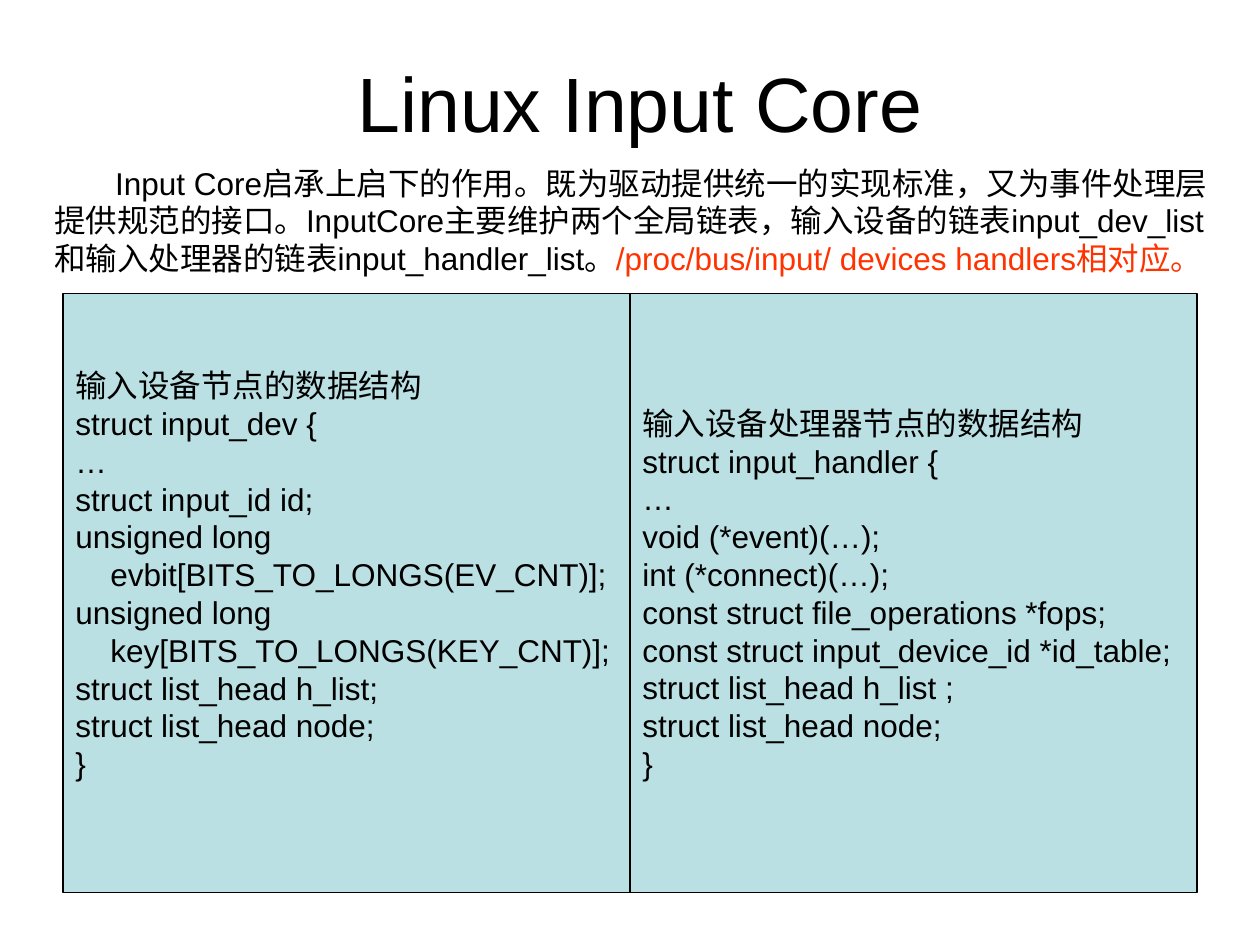
from pptx import Presentation
from pptx.dml.color import RGBColor
from pptx.enum import shapes, text
from pptx.util import Cm, Pt

BLACK, RED, PALE_BLUE = "000000", "FF3300", "BBE0E3"

INTRO = [
    ("Input Core启承上启下的作用。既为驱动提供统一的实现标准，又为事件处理层提供规范的接口。"
     "InputCore主要维护两个全局链表，输入设备的链表input_dev_list和输入处理器的链表"
     "input_handler_list。", BLACK),
    ("/proc/bus/input/ devices handlers相对应。", RED),
]

INPUT_DEV = """输入设备节点的数据结构
struct input_dev {
…
struct input_id id;
unsigned long
    evbit[BITS_TO_LONGS(EV_CNT)];
unsigned long
    key[BITS_TO_LONGS(KEY_CNT)];
struct list_head h_list;
struct list_head node;
}"""

INPUT_HANDLER = """输入设备处理器节点的数据结构
struct input_handler {
…
void (*event)(…);
int (*connect)(…);
const struct file_operations *fops;
const struct input_device_id *id_table;
struct list_head h_list ;
struct list_head node;
}"""


def rgb(value):
    return RGBColor.from_string(value)


def place(sp, left, top, width, height):
    sp.left, sp.top, sp.width, sp.height = Cm(left), Cm(top), Cm(width), Cm(height)


def add_run(p, content, size=18, color=BLACK):
    r = p.add_run()
    r.text = content
    r.font.size = Pt(size)
    r.font.name = "Arial"
    r.font.color.rgb = rgb(color)


def set_frame(tf, wrap=True):
    tf.word_wrap = wrap
    tf.auto_size = text.MSO_AUTO_SIZE.NONE
    tf.vertical_anchor = text.MSO_ANCHOR.MIDDLE


def add_title(slide, box):
    sp = slide.shapes.title
    place(sp, *box)
    set_frame(sp.text_frame)
    p = sp.text_frame.paragraphs[0]
    p.alignment = text.PP_ALIGN.CENTER
    add_run(p, "Linux Input Core", 44)


def add_intro(slide, box):
    sp = slide.shapes.add_textbox(*map(Cm, box))
    set_frame(sp.text_frame)
    p = sp.text_frame.paragraphs[0]
    # First-line indent
    p._p.get_or_add_pPr().set("indent", str(Cm(1.23)))
    for content, color in INTRO:
        add_run(p, content, color=color)


def add_struct(slide, box, code, bottom):
    sp = slide.shapes.add_shape(shapes.MSO_SHAPE.RECTANGLE, *map(Cm, box))
    sp.shadow.inherit = False
    sp.fill.solid()
    sp.fill.fore_color.rgb = rgb(PALE_BLUE)
    sp.line.color.rgb = rgb(BLACK)
    sp.line.width = Pt(0.75)
    tf = sp.text_frame
    set_frame(tf, wrap=False)
    tf.margin_bottom = Cm(bottom)
    for i, line in enumerate(code.splitlines()):
        p = tf.add_paragraph() if i else tf.paragraphs[0]
        p.alignment = text.PP_ALIGN.LEFT
        add_run(p, line)


def add_structs(slide, box):
    left, top, width, height = box
    column = width / 2
    # The larger bottom margin lifts the left listing by half a line
    for i, (code, bottom) in enumerate([(INPUT_DEV, 0.89), (INPUT_HANDLER, 0.13)]):
        add_struct(slide, (left + i * column, top, column, height), code, bottom)


def main():
    prs = Presentation()
    prs.slide_width, prs.slide_height = Cm(25.4), Cm(19.05)
    slide = prs.slides.add_slide(prs.slide_layouts[5])
    add_title(slide, (2.11, 0, 21.59, 4.09))
    add_intro(slide, (0.84, 2.79, 23.93, 3.3))
    add_structs(slide, (1.27, 5.92, 22.86, 12.07))
    prs.save("out.pptx")


if __name__ == "__main__":
    main()
